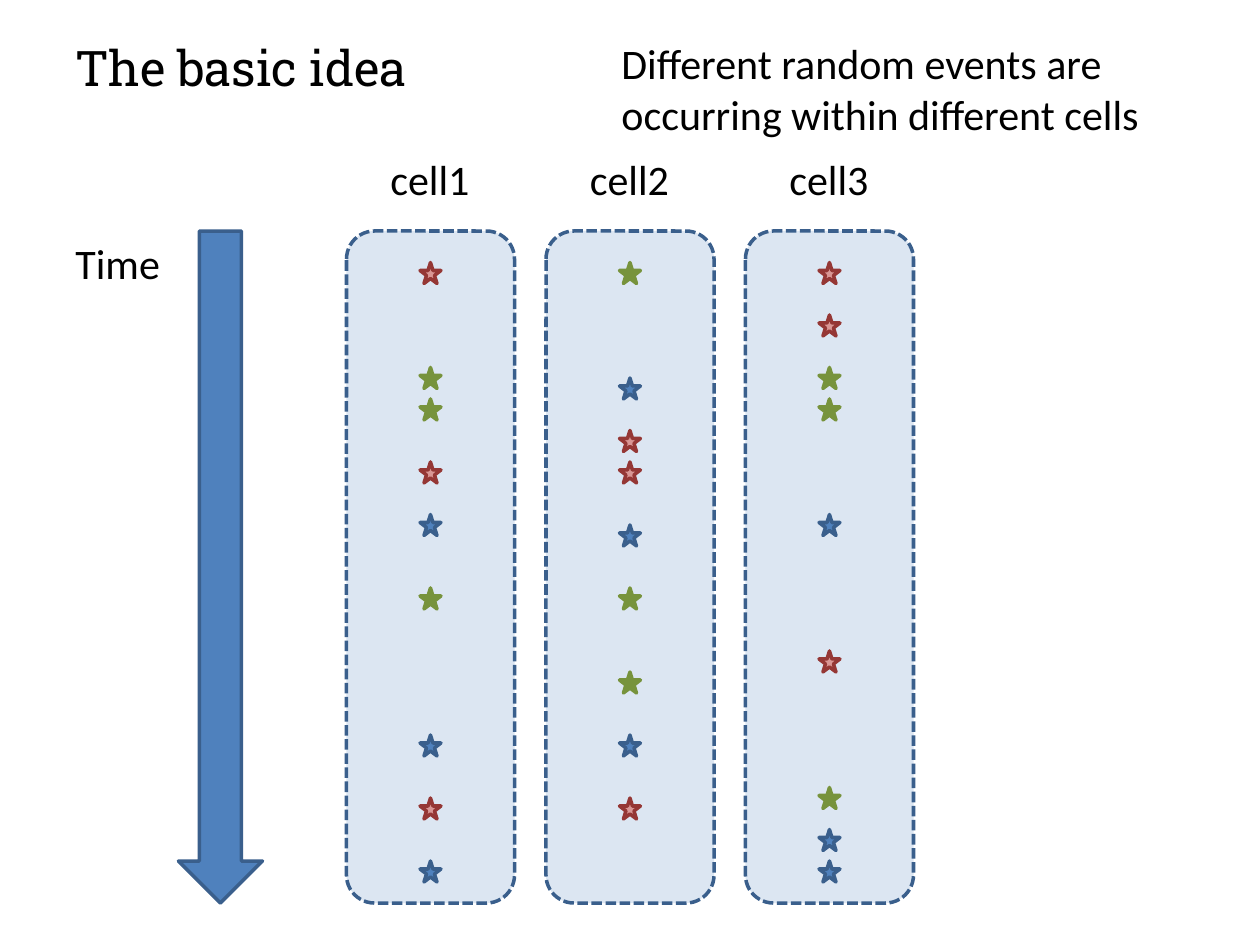
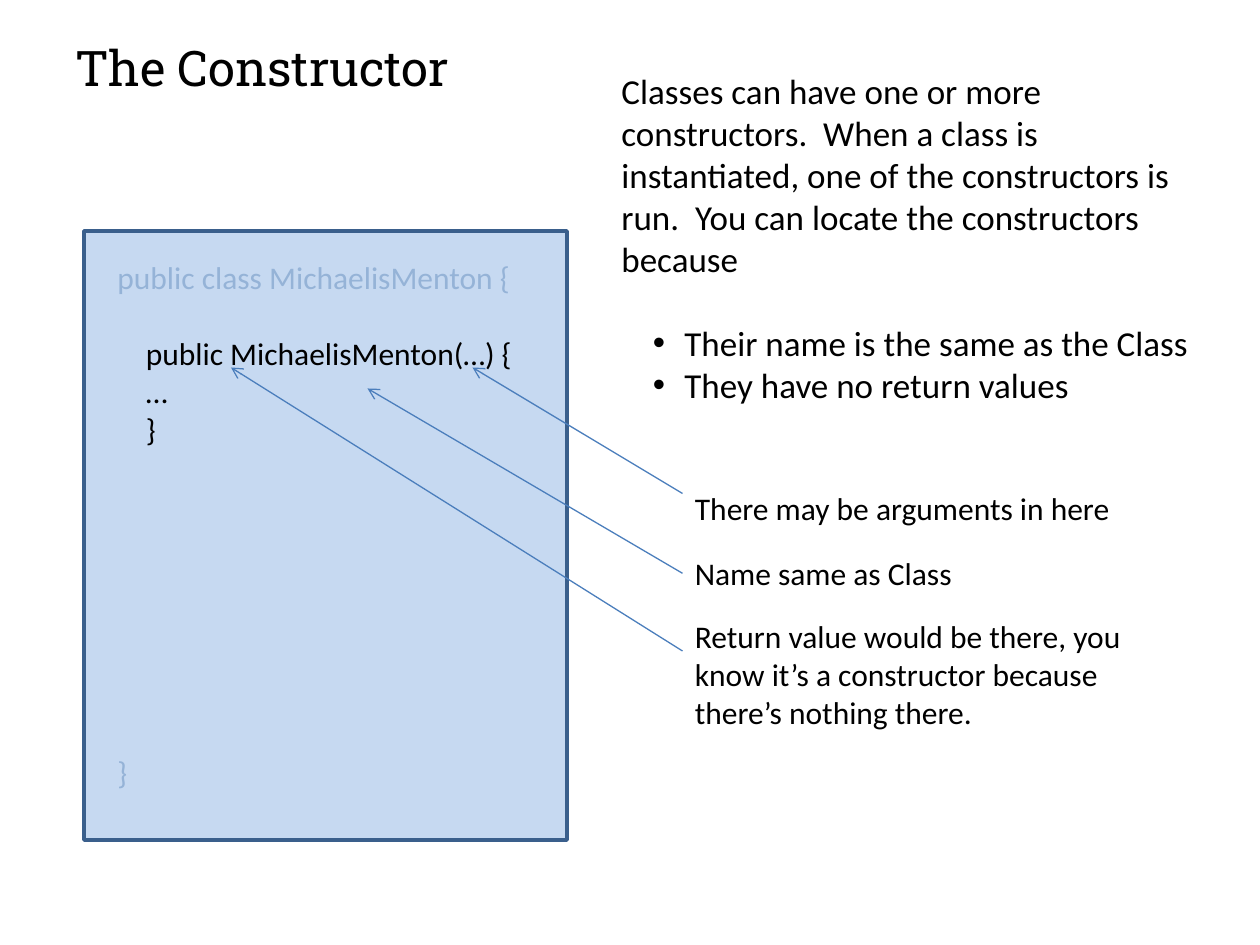
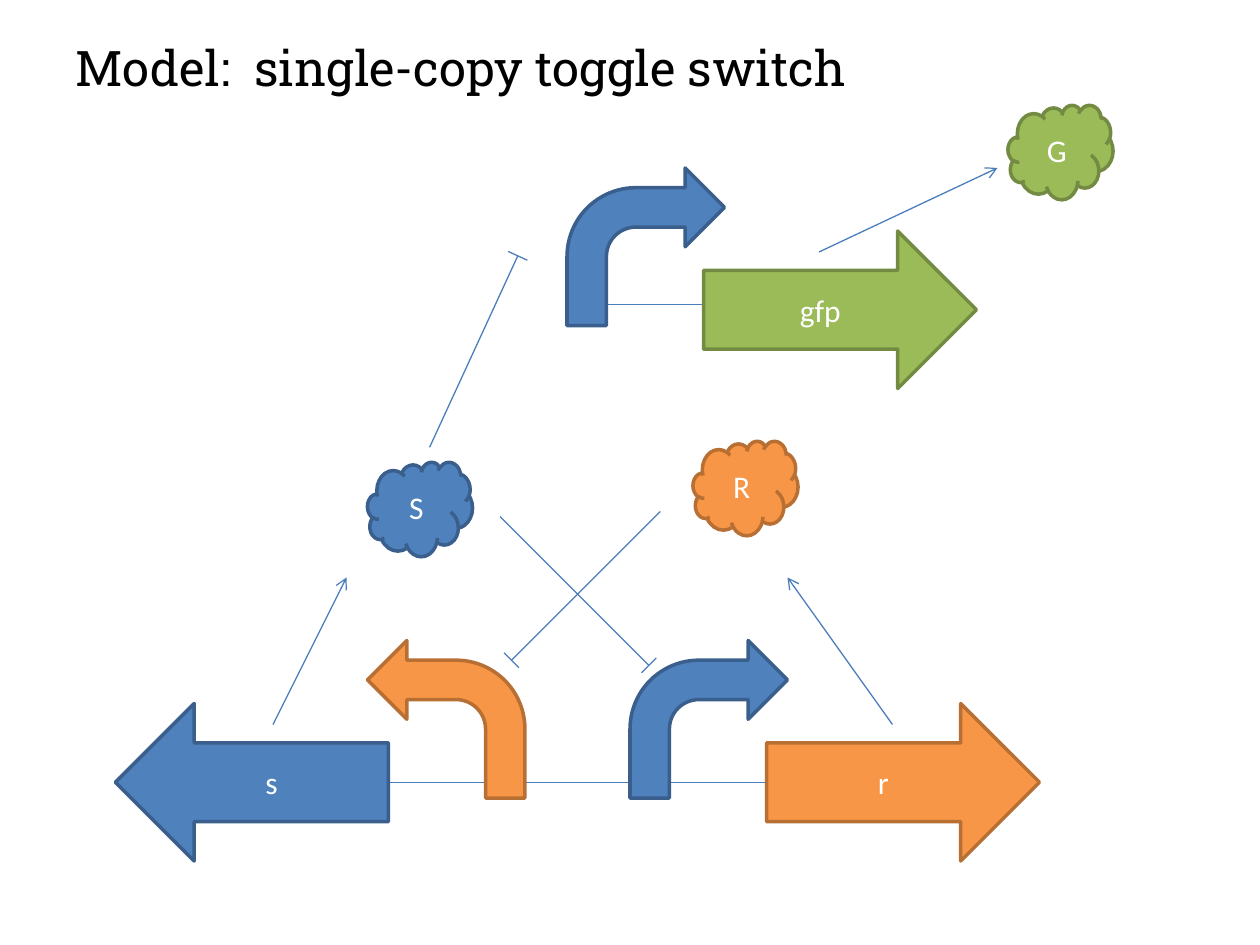
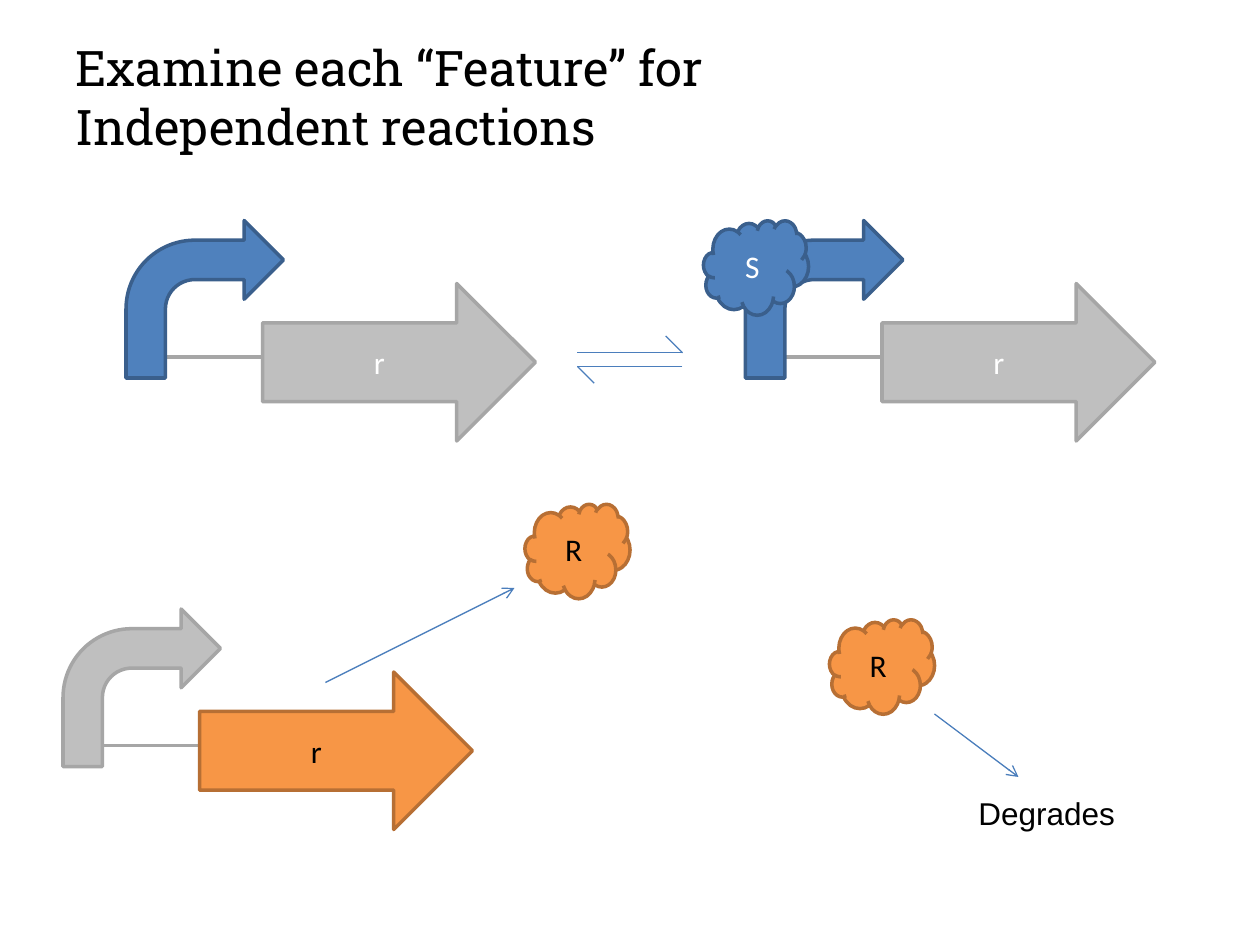
"""Build four slides on random cell events, constructors and a toggle switch."""
from math import hypot

from lxml import etree
from pptx import Presentation
from pptx.dml.color import RGBColor
from pptx.enum.dml import MSO_LINE
from pptx.enum.shapes import MSO_CONNECTOR, MSO_SHAPE
from pptx.enum.text import MSO_ANCHOR, MSO_AUTO_SIZE, PP_ALIGN
from pptx.oxml.ns import qn
from pptx.util import Pt

DASH = MSO_LINE.SQUARE_DOT
STRAIGHT = MSO_CONNECTOR.STRAIGHT
DOWN = MSO_SHAPE.DOWN_ARROW
RIGHT = MSO_SHAPE.RIGHT_ARROW
BENT = MSO_SHAPE.BENT_ARROW
CLOUD = MSO_SHAPE.CLOUD
STAR = MSO_SHAPE.STAR_5_POINT
ROUND = MSO_SHAPE.ROUNDED_RECTANGLE
RECT = MSO_SHAPE.RECTANGLE
MIDDLE = MSO_ANCHOR.MIDDLE
GROW = MSO_AUTO_SIZE.SHAPE_TO_FIT_TEXT
CENTER = PP_ALIGN.CENTER

HEX = {
    "black": "000000", "white": "FFFFFF", "wire": "4B7EBC",
    "blue": "4F81BD", "navy": "3A5F8C", "pale": "DCE6F2",
    "sky": "C6D9F1", "faint": "95B3D7", "pink": "D99694",
    "red": "953735", "olive": "77933C", "green": "9BBB59",
    "moss": "738A42", "orange": "F79646", "rust": "B76F34",
    "gray": "BFBFBF", "steel": "A6A6A6",
}
BLUE = ("blue", "navy")
GREEN = ("green", "moss")
ORANGE = ("orange", "rust")
GRAY = ("gray", "steel")
STARS = {"r": ("pink", "red"), "g": ("olive", "olive"), "b": BLUE}
LINE = 21.8


def color(name):
    """Return the named colour."""
    return RGBColor.from_string(HEX[name])


def write(para, words, size, ink="black", font="Calibri"):
    """Add one styled run to a paragraph."""
    run = para.add_run()
    run.text = words
    run.font.size = Pt(size)
    run.font.name = font
    run.font.color.rgb = color(ink)


def text(shapes, box, lines, size, font="Calibri", wrap=True):
    """Add a text box; each line is words, or words with ink and space before."""
    frame = shapes.add_textbox(*map(Pt, box)).text_frame
    frame.word_wrap = wrap
    frame.auto_size = GROW
    for num, line in enumerate(lines):
        words, ink, gap = (line, "black", 0) if isinstance(line, str) else line
        para = frame.add_paragraph() if num else frame.paragraphs[0]
        if gap:
            para.space_before = Pt(gap)
        write(para, words, size, ink, font)
    return frame


def shape(shapes, kind, box, paint, words="", ink="white", flip=False):
    """Add a filled, outlined shape with an optional centred label."""
    item = shapes.add_shape(kind, *map(Pt, box))
    item.shadow.inherit = False
    item.fill.solid()
    item.fill.fore_color.rgb = color(paint[0])
    item.line.color.rgb = color(paint[1])
    item.line.width = Pt(2)
    if flip:
        item.element.spPr.find(qn("a:xfrm")).set("flipH", "1")
    if words:
        item.text_frame.vertical_anchor = MIDDLE
        para = item.text_frame.paragraphs[0]
        para.alignment = CENTER
        write(para, words, 18, ink)
    return item


def wire(shapes, start, end, head=False, ink="wire", width=0.75):
    """Draw a straight line, with an open arrowhead at its end if asked."""
    item = shapes.add_connector(STRAIGHT, *map(Pt, start + end))
    item.line.color.rgb = color(ink)
    item.line.width = Pt(width)
    props = item.element.spPr
    if head:
        etree.SubElement(props.find(qn("a:ln")), qn("a:tailEnd"), type="arrow")
    etree.SubElement(props, qn("a:effectLst"))


def block(shapes, start, end):
    """Draw a repression line that ends in a crossbar."""
    group = shapes.add_group_shape().shapes
    wire(group, start, end)
    (x, y), dx, dy = end, end[0] - start[0], end[1] - start[1]
    part = 6 / hypot(dx, dy)
    wire(group, (x - dy * part, y + dx * part), (x + dy * part, y - dx * part))


def swap(shapes, x, y, wide=60, high=27, barb=9.6):
    """Draw a pair of half arrows for a reversible reaction."""
    group = shapes.add_group_shape().shapes
    end, low = x + wide, y + high
    wire(group, (x, y + barb), (end, y + barb))
    wire(group, (end - barb, y), (end, y + barb))
    wire(group, (end, low - barb), (x, low - barb))
    wire(group, (x + barb, low), (x, low - barb))


def cloud(shapes, x, y, paint, words, ink="white"):
    """Draw a protein cloud."""
    shape(shapes, CLOUD, (x, y, 60, 54), paint, words, ink)


def gene(shapes, x, y, start, body, words, ink="white", rail=None, flip=False):
    """Draw a promoter and its gene, with a rail of given ink and width."""
    if rail:
        wire(shapes, (x, y + 78), (x + 198, y + 78), False, *rail)
    left, right = (x + 144, x) if flip else (x, x + 78)
    shape(shapes, BENT, (left, y, 90, 90), start, flip=flip)
    shape(shapes, RIGHT, (right, y + 36, 156, 90), body, words, ink, flip)


def cell(shapes, x, y, name, marks):
    """Draw one cell with its label and its events down the time axis."""
    box = shape(shapes, ROUND, (x, y, 96, 384), ("pale", "navy"))
    box.line.dash_style = DASH
    text(shapes, (x + 18, y - 48, 66, 37), [name], 24)
    for kind, tops in marks.items():
        for top in tops:
            shape(shapes, STAR, (x + 42, y + top, 12, 12), STARS[kind])


def start(deck, *lines):
    """Add a blank slide with its title and return its shapes."""
    shapes = deck.slides.add_slide(deck.slide_layouts[6]).shapes
    text(shapes, (36, 18, 678, 41), lines, 28, "Roboto Slab")
    return shapes


def events(deck):
    """Build the slide of random events in three cells."""
    shapes = start(deck, "The basic idea")
    shape(shapes, DOWN, (102, 132, 48, 384), BLUE)
    text(shapes, (36, 132, 66, 37), ["Time"], 24)
    text(shapes, (348, 18, 336, 66),
         ["Different random events are occurring within different cells"], 24)
    cells = [
        {"r": (18, 132, 324), "g": (78, 96, 204), "b": (162, 288, 360)},
        {"r": (114, 132, 324), "g": (18, 204, 252), "b": (84, 168, 288)},
        {"r": (18, 48, 240), "g": (78, 96, 318), "b": (162, 342, 360)},
    ]
    for num, marks in enumerate(cells):
        cell(shapes, 198 + 114 * num, 132, f"cell{num + 1}", marks)


def code(shapes, x, y):
    """Draw the code panel with the constructor picked out."""
    shape(shapes, RECT, (x, y, 276, 348), ("sky", "navy"))
    text(shapes, (x + 12, y + 12, 264, 312), [
        ("public class MichaelisMenton {", "faint", 0),
        ("    public MichaelisMenton(…) {", "black", LINE),
        "    …",
        "    }",
        ("}", "faint", 8 * LINE),
    ], 18)


def points(shapes, x, y):
    """Write the explanation and its bullets."""
    frame = text(shapes, (x, y, 348, 201), [
        "Classes can have one or more constructors.  When a class is "
        "instantiated, one of the constructors is run.  You can locate "
        "the constructors because",
        ("Their name is the same as the Class", "black", 24),
        "They have no return values",
    ], 20)
    for para in frame.paragraphs[1:]:
        para.level = 1
        props = para._p.get_or_add_pPr()
        props.set("marL", str(Pt(36)))
        props.set("indent", str(Pt(-18)))
        etree.SubElement(props, qn("a:buFont"), typeface="Arial")
        etree.SubElement(props, qn("a:buChar"), char="•")


def build(deck):
    """Build the slide on constructors."""
    shapes = start(deck, "The Constructor")
    code(shapes, 48, 132)
    points(shapes, 348, 36)
    notes = [
        ("There may be arguments in here", 276, 254, 282, (270, 210)),
        ("Name same as Class", 313.2, 163, 327.6, (210, 222)),
        ("Return value would be there, you know it’s a constructor because "
         "there’s nothing there.", 349.2, 264, 372, (132, 210)),
    ]
    for words, top, wide, tail, tip in notes:
        text(shapes, (390, top, wide, 29), [words], 18, wrap=wide == 264)
        wire(shapes, (390, tail), tip, True)


def toggle(deck):
    """Build the slide of the toggle switch model."""
    shapes = start(deck, "Model:  single-copy toggle switch")
    wire(shapes, (108, 447), (552, 447))
    gene(shapes, 360, 366, BLUE, ORANGE, "r")
    gene(shapes, 66, 366, ORANGE, BLUE, "s", flip=True)
    gene(shapes, 324, 96, BLUE, GREEN, "gfp", rail=("wire", 0.75))
    cloud(shapes, 396, 252, ORANGE, "R")
    cloud(shapes, 210, 264, BLUE, "S")
    cloud(shapes, 576, 60, GREEN, "G")
    for tail, tip in [((510, 414), (450, 330)), ((156, 414), (198, 330)),
                      ((468, 144), (570, 96))]:
        wire(shapes, tail, tip, True)
    for tail, tip in [((377.3, 292.3), (292.3, 377.3)),
                      ((245.5, 255.6), (295.9, 146.2)),
                      ((285.8, 295.2), (370.8, 380.2))]:
        block(shapes, tail, tip)


def react(deck):
    """Build the slide of independent reactions."""
    shapes = start(deck, "Examine each “Feature” for", "Independent reactions")
    rail = ("steel", 2)
    for x in (72, 426):
        gene(shapes, x, 126, BLUE, GRAY, "r", rail=rail)
    cloud(shapes, 402, 126, BLUE, "S")
    swap(shapes, 330, 192)
    gene(shapes, 36, 348, GRAY, ORANGE, "r", "black", rail)
    wire(shapes, (186, 390), (294, 336), True)
    cloud(shapes, 300, 288, ORANGE, "R", "black")
    cloud(shapes, 474, 354, ORANGE, "R", "black")
    wire(shapes, (534, 408), (582, 444), True)
    text(shapes, (552, 450, 138, 29), ["Degrades"], 18, "Arial")


def main():
    """Build and save the deck."""
    deck = Presentation()
    deck.slide_width, deck.slide_height = Pt(720), Pt(540)
    for page in (events, build, toggle, react):
        page(deck)
    deck.save("out.pptx")


if __name__ == "__main__":
    main()
